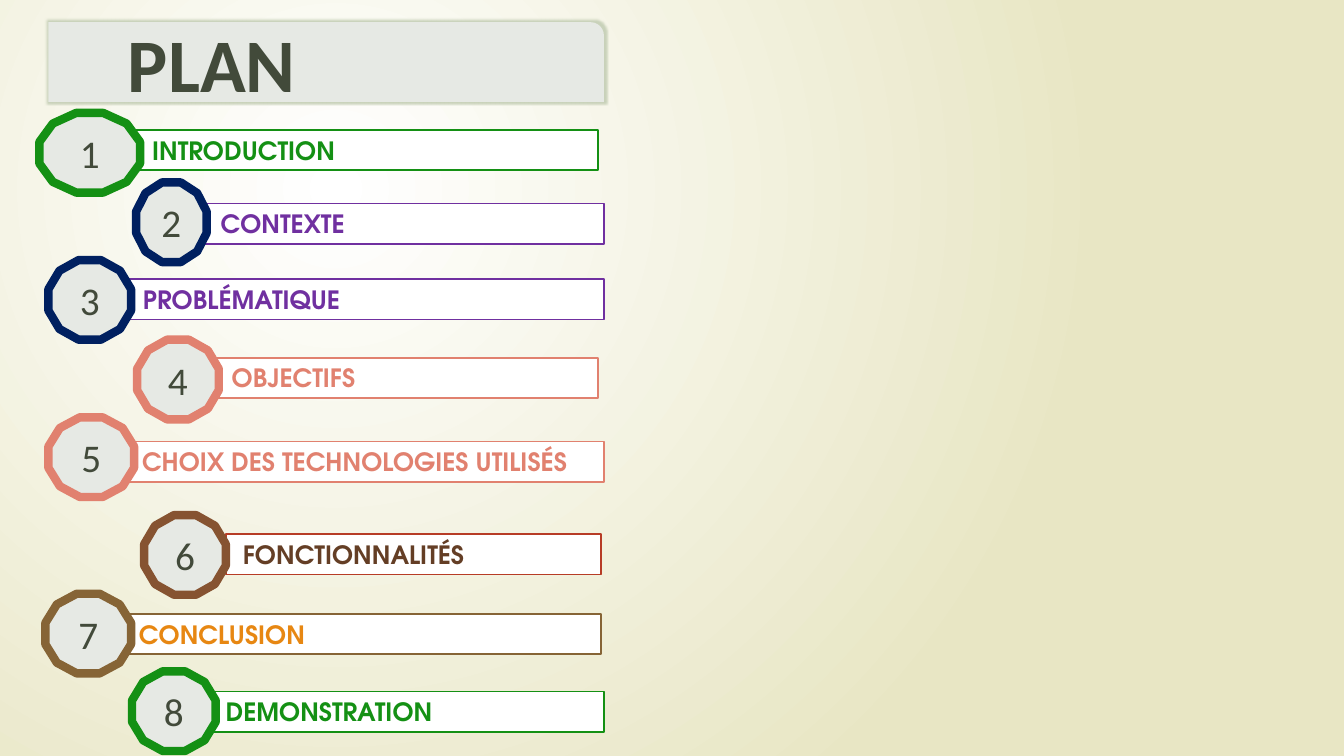
"""Build the agenda slide: a title banner above eight numbered plan entries."""
from lxml import etree
from pptx import Presentation
from pptx.dml.color import RGBColor
from pptx.enum.shapes import MSO_SHAPE
from pptx.enum.text import MSO_ANCHOR, PP_ALIGN
from pptx.oxml.ns import qn
from pptx.util import Inches, Pt

RECT, DODECAGON, BANNER = MSO_SHAPE.RECTANGLE, MSO_SHAPE.DODECAGON, MSO_SHAPE.ROUND_1_RECTANGLE
TOP, MIDDLE = MSO_ANCHOR.TOP, MSO_ANCHOR.MIDDLE
LEFT, CENTER = PP_ALIGN.LEFT, PP_ALIGN.CENTER

INK, PALE, WHITE = "424A3A", "E6E9E4", "FFFFFF"
BODY_FONT, LABEL_FONT = "Calibri", "TeX Gyre Adventor"
BAR_H, BADGE_H = 0.4, 0.79

# label, text colour, bar line, badge line, bar (x, y, right), badge (x, y, width), indent
ENTRIES = [
    ("INTRODUCTION", "149014", "149014", "149014", (1.27, 1.29, 5.93), (0.39, 1.12, 1), 0.14),
    ("CONTEXTE", "7030A0", "7030A0", "002060", (1.95, 2.02, 5.99), (1.35, 1.81, 0.7), 0.14),
    ("PROBLÉMATIQUE", "7030A0", "7030A0", "002060", (1.25, 2.77, 5.99), (0.48, 2.58, 0.82), 0.07),
    ("OBJECTIFS", "E1816F", "E1816F", "E1816F", (2.13, 3.55, 5.93), (1.36, 3.37, 0.81), 0.07),
    ("CHOIX DES TECHNOLOGIES UTILISÉS", "E1816F", "E1816F", "E1816F",
     (1.24, 4.38, 5.99), (0.48, 4.14, 0.85), 0.07),
    ("FONCTIONNALITÉS", "643E25", "B73C26", "865331", (2.24, 5.3, 5.96), (1.43, 5.11, 0.81), 0.07),
    ("CONCLUSION", "E78712", "866436", "866436", (1.21, 6.09, 5.96), (0.45, 5.89, 0.85), 0.07),
    ("DEMONSTRATION", "149014", "149014", "149014", (2.07, 6.86, 5.99), (1.31, 6.66, 0.83), 0.07),
]


def rgb(value):
    return RGBColor.from_string(value)


def add_box(shapes, kind, box, fill, line, text, size, font, color,
            bold=False, anchor=MIDDLE, align=LEFT, indent=0):
    sp = shapes.add_shape(kind, *map(Inches, box))
    sp.shadow.inherit = False
    sp.fill.solid()
    sp.fill.fore_color.rgb = rgb(fill)
    if line:
        sp.line.color.rgb = rgb(line[0])
        sp.line.width = Pt(line[1])
    else:
        sp.line.fill.background()
    tf = sp.text_frame
    tf.text = text
    tf.word_wrap = True
    tf.vertical_anchor = anchor
    p = tf.paragraphs[0]
    p.alignment = align
    if indent:
        p._p.get_or_add_pPr().set("marL", str(Inches(indent)))
    r = p.runs[0]
    r.font.size, r.font.name, r.font.bold = Pt(size), font, bold
    r.font.color.rgb = rgb(color)
    return sp


def set_background(s):
    fill = s.background.fill
    fill.gradient()
    for stop, color in zip(fill.gradient_stops, (WHITE, "E8E6C4")):
        stop.color.rgb = rgb(color)
    grad = s._element.find(".//" + qn("a:gradFill"))
    grad.remove(grad.find(qn("a:lin")))
    path = etree.SubElement(grad, qn("a:path"), {"path": "circle"})
    etree.SubElement(path, qn("a:fillToRect"), l="50000", t="50000", r="100000", b="100000")


def add_glow(sp, color, radius):
    effects = sp._element.spPr.find(qn("a:effectLst"))
    glow = etree.SubElement(effects, qn("a:glow"), rad=str(Pt(radius)))
    etree.SubElement(glow, qn("a:srgbClr"), val=color)


def main():
    prs = Presentation()
    prs.slide_width, prs.slide_height = Inches(13.33), Inches(7.5)
    s = prs.slides.add_slide(prs.slide_layouts[6])
    set_background(s)

    title = add_box(s.shapes, BANNER, (0.48, 0.22, 5.51, 0.79), PALE, None,
                    "PLAN", 54, BODY_FONT, INK, bold=True, indent=0.69)
    add_glow(title, "C9D2BA", 3)

    for number, entry in enumerate(ENTRIES, 1):
        label, color, bar_line, badge_line, (x, y, right), (bx, by, bw), indent = entry
        group = s.shapes.add_group_shape()
        add_box(group.shapes, RECT, (x, y, right - x, BAR_H), WHITE, (bar_line, 1.25),
                label, 18, LABEL_FONT, color, bold=True, anchor=TOP, indent=indent)
        add_box(group.shapes, DODECAGON, (bx, by, bw, BADGE_H), PALE, (badge_line, 6),
                str(number), 28, BODY_FONT, INK, align=CENTER)

    prs.save("out.pptx")


if __name__ == "__main__":
    main()
